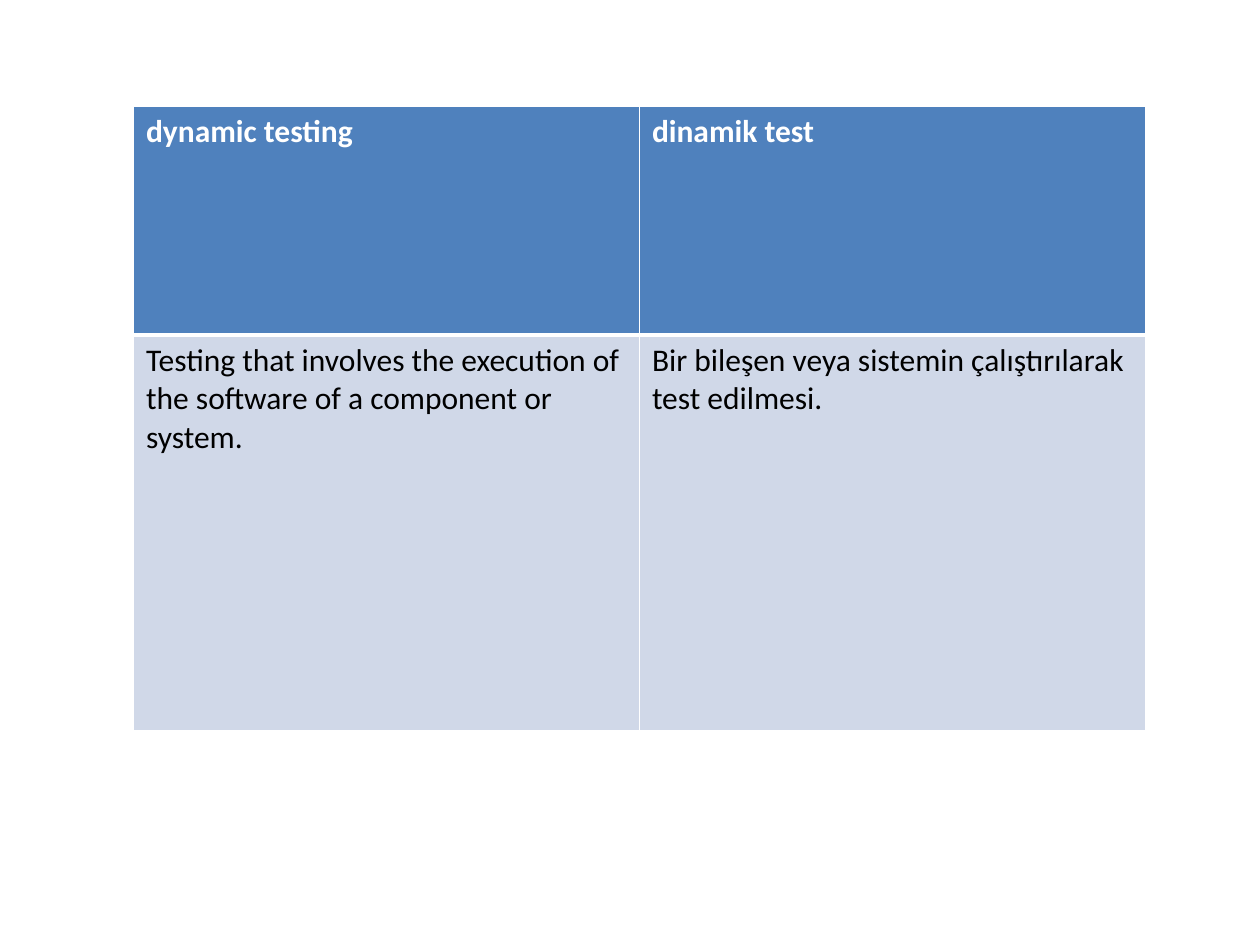
from lxml.etree import SubElement
from pptx import Presentation
from pptx.dml.color import RGBColor
from pptx.oxml.ns import qn
from pptx.util import Inches, Pt

COLORS = {"head": "4F81BD", "body": "D0D8E8", "white": "FFFFFF", "black": "000000"}
ROWS = [
    ("dynamic testing", "dinamik test"),
    (
        "Testing that involves the execution of the software of a component or system.",
        "Bir bileşen veya sistemin çalıştırılarak test edilmesi.",
    ),
]


class Deck:
    font = "Calibri"
    size = Pt(18)

    def __init__(self, slide):
        self.slide = slide

    def color(self, name):
        return RGBColor.from_string(COLORS[name])

    def border(self, cell, side, width):
        props = cell._tc.get_or_add_tcPr()
        line = SubElement(props, qn(f"a:ln{side}"), w=str(Pt(width)))
        fill = SubElement(line, qn("a:solidFill"))
        SubElement(fill, qn("a:srgbClr"), val=COLORS["white"])

    def cell(self, cell, text, head):
        widths = {"L": 1, "R": 1, "T": 1 if head else 3, "B": 3 if head else 1}
        for side, width in widths.items():
            self.border(cell, side, width)
        cell.fill.solid()
        cell.fill.fore_color.rgb = self.color("head" if head else "body")
        cell.text = text
        font = cell.text_frame.paragraphs[0].font
        font.name, font.size, font.bold = self.font, self.size, head
        font.color.rgb = self.color("white" if head else "black")

    def table(self, rows, left, top, width, heights):
        frame = self.slide.shapes.add_table(
            len(rows), len(rows[0]), Inches(left), Inches(top),
            Inches(width), Inches(sum(heights)),
        )
        table = frame.table
        for row, height in zip(table.rows, heights):
            row.height = Inches(height)
        for r, texts in enumerate(rows):
            for c, text in enumerate(texts):
                self.cell(table.cell(r, c), text, r == 0)


def main():
    prs = Presentation()
    prs.slide_width, prs.slide_height = Inches(10), Inches(7.5)
    deck = Deck(prs.slides.add_slide(prs.slide_layouts[6]))
    deck.table(ROWS, 1.06, 0.84, 8.03, (1.82, 3.14))
    prs.save("out.pptx")


if __name__ == "__main__":
    main()
